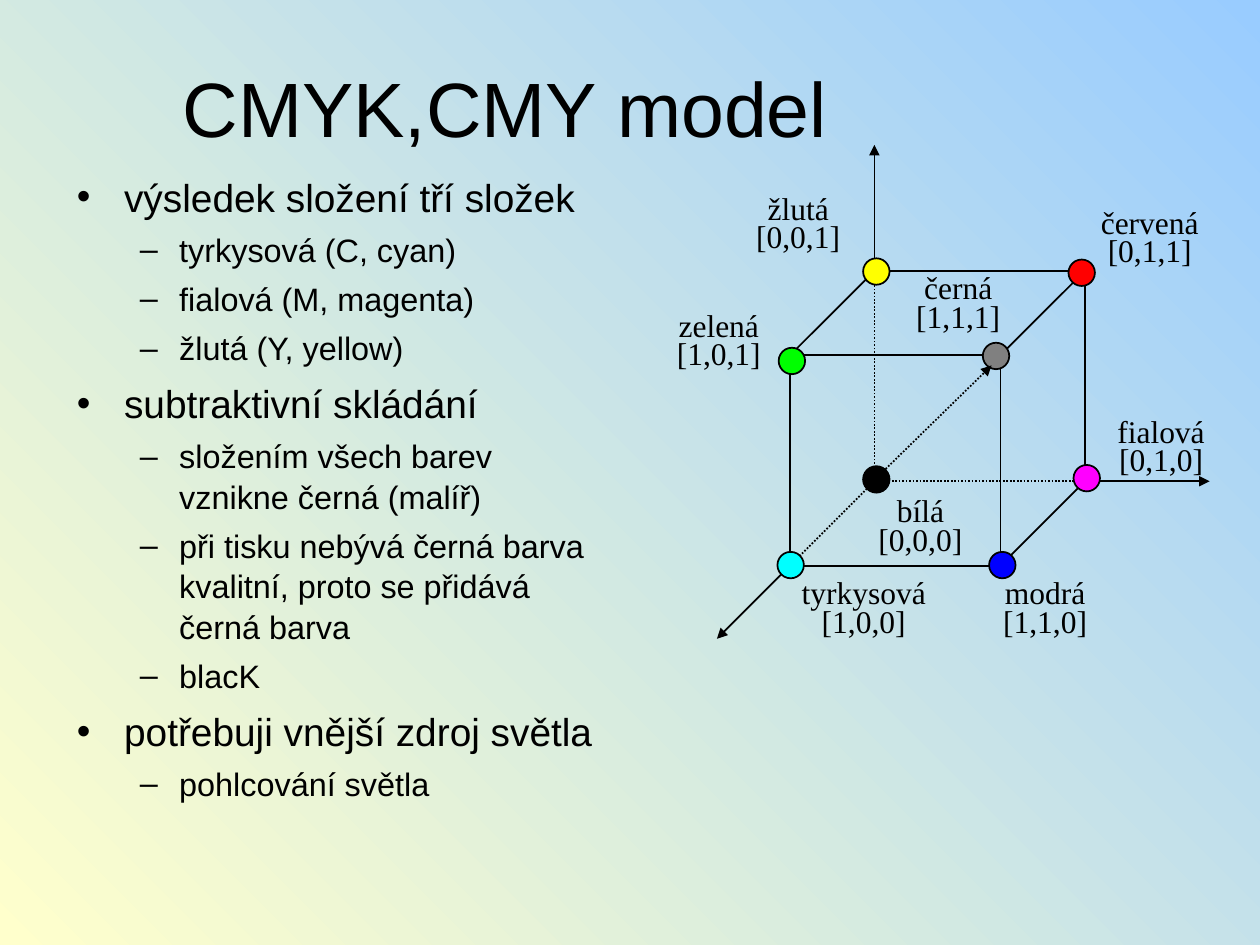
from collections import namedtuple
from dataclasses import dataclass

from lxml.etree import SubElement
from pptx import Presentation
from pptx.dml.color import RGBColor
from pptx.enum.dml import MSO_LINE
from pptx.enum.shapes import MSO_CONNECTOR, MSO_SHAPE
from pptx.enum.text import MSO_ANCHOR, MSO_AUTO_SIZE, PP_ALIGN
from pptx.oxml.ns import qn
from pptx.util import Inches, Pt


@dataclass(frozen=True)
class Theme:
    ink: str = "000000"
    sky: str = "99CCFF"
    cream: str = "FFFFCC"
    sans: str = "Arial"
    serif: str = "Times New Roman"
    title_size: float = 44
    level_sizes: tuple = (22.2, 18.5)
    level_gaps: tuple = (6, 5)
    label_size: float = 18
    line_width: float = 1


THEME = Theme()

BULLETS = [
    (0, "výsledek složení tří složek"),
    (1, "tyrkysová (C, cyan)"),
    (1, "fialová (M, magenta)"),
    (1, "žlutá (Y, yellow)"),
    (0, "subtraktivní skládání"),
    (1, "složením všech barev vznikne černá (malíř)"),
    (1, "při tisku nebývá černá barva kvalitní, proto se přidává černá barva"),
    (1, "blacK"),
    (0, "potřebuji vnější zdroj světla"),
    (1, "pohlcování světla"),
]

# Cube corner: CMY coordinates, name, fill, marker and label positions (inches)
Corner = namedtuple("Corner", "cmy name fill marker label")
CORNERS = [
    Corner((1, 1, 0), "modrá", "0000FF", (7.85, 4.38), (7.67, 4.57)),
    Corner((0, 1, 0), "fialová", "FF00FF", (8.52, 3.69), (8.59, 3.29)),
    Corner((0, 1, 1), "červená", "FF0000", (8.48, 2.06), (8.5, 1.63)),
    Corner((1, 1, 1), "černá", "808080", (7.8, 2.72), (6.98, 2.15)),
    Corner((0, 0, 0), "bílá", "000000", (6.85, 3.7), (6.68, 3.92)),
    Corner((0, 0, 1), "žlutá", "FFFF00", (6.85, 2.05), (5.71, 1.52)),
    Corner((1, 0, 1), "zelená", "00FF00", (6.18, 2.76), (5.08, 2.45)),
    Corner((1, 0, 0), "tyrkysová", "00FFFF", (6.17, 4.38), (6.23, 4.57)),
]
ORIGIN = (6.94, 3.82)
EDGE = 1.67
DEPTH = 0.67
MARKER_SIZE = 0.21


def color(value):
    return RGBColor.from_string(value)


def write(para, text, *, size, font=THEME.sans, ink=THEME.ink, align=None,
          before=0, spacing=None):
    para.text = text
    para.alignment = align
    para.space_before = Pt(before)
    para.line_spacing = spacing
    for span in para.runs:
        span.font.size = Pt(size)
        span.font.name = font
        span.font.color.rgb = color(ink)


def place(shape, left, top, width, height):
    shape.left, shape.top = Inches(left), Inches(top)
    shape.width, shape.height = Inches(width), Inches(height)


def paint_background(page):
    fill = page.background.fill
    fill.gradient()
    fill.gradient_angle = 225
    for stop, value in zip(fill.gradient_stops, (THEME.sky, THEME.cream)):
        stop.color.rgb = color(value)


def add_title(page, text):
    title = page.shapes.title
    place(title, 0.5, 0.3, 7.02, 1.09)
    title.text_frame.vertical_anchor = MSO_ANCHOR.MIDDLE
    write(title.text_frame.paragraphs[0], text, size=THEME.title_size,
          align=PP_ALIGN.CENTER)


def add_bullets(page, items):
    body = page.placeholders[1]
    place(body, 0.51, 1.31, 4.42, 4.95)
    frame = body.text_frame
    frame.auto_size = MSO_AUTO_SIZE.NONE
    for index, (level, text) in enumerate(items):
        para = frame.add_paragraph() if index else frame.paragraphs[0]
        para.level = level
        write(para, text, size=THEME.level_sizes[level], spacing=1.04,
              before=THEME.level_gaps[level] if index else 0)


def add_line(shapes, start, end, *, dotted=False, arrow=False):
    line = shapes.add_connector(MSO_CONNECTOR.STRAIGHT,
                                *(Inches(value) for value in (*start, *end)))
    line.line.color.rgb = color(THEME.ink)
    line.line.width = Pt(THEME.line_width)
    if dotted:
        line.line.dash_style = MSO_LINE.ROUND_DOT
    if arrow:
        SubElement(line.line._get_or_add_ln(), qn("a:tailEnd"), type="triangle")
    SubElement(line._element.spPr, qn("a:effectLst"))


def add_marker(shapes, corner):
    left, top = corner.marker
    marker = shapes.add_shape(MSO_SHAPE.OVAL, Inches(left), Inches(top),
                              Inches(MARKER_SIZE), Inches(MARKER_SIZE))
    marker.shadow.inherit = False
    marker.fill.solid()
    marker.fill.fore_color.rgb = color(corner.fill)
    marker.line.color.rgb = color(THEME.ink)
    marker.line.width = Pt(THEME.line_width)


def add_label(shapes, corner):
    left, top = corner.label
    box = shapes.add_textbox(Inches(left), Inches(top), Inches(1.25), Inches(0.55))
    frame = box.text_frame
    frame.word_wrap = True
    frame.auto_size = MSO_AUTO_SIZE.SHAPE_TO_FIT_TEXT
    coordinates = ",".join(str(value) for value in corner.cmy)
    write(frame.paragraphs[0], f"{corner.name}\n[{coordinates}]",
          size=THEME.label_size, font=THEME.serif, align=PP_ALIGN.CENTER,
          spacing=0.75)


def project(cyan, magenta, yellow):
    """Position on the page of a point in CMY space."""
    return (ORIGIN[0] + EDGE * magenta - DEPTH * cyan,
            ORIGIN[1] - EDGE * yellow + DEPTH * cyan)


def add_cube(page):
    shapes = page.shapes.add_group_shape().shapes

    # Edges: those that meet at the origin are hidden, hence dotted
    for corner in CORNERS:
        for axis in range(3):
            if corner.cmy[axis] == 0:
                far = list(corner.cmy)
                far[axis] = 1
                add_line(shapes, project(*corner.cmy), project(*far),
                         dotted=not any(corner.cmy))

    # Axes beyond the cube
    add_line(shapes, project(0, 1, 0), (9.6, 3.82), arrow=True)
    add_line(shapes, project(0, 0, 1), (6.94, 1.15), arrow=True)
    add_line(shapes, project(1, 0, 0), (5.69, 5.07), arrow=True)

    # Corners with their names
    for corner in CORNERS:
        add_marker(shapes, corner)
    for corner in CORNERS:
        add_label(shapes, corner)

    # Grey diagonal from white to black
    add_line(shapes, (6.97, 3.78), (7.87, 2.9), dotted=True, arrow=True)


def main():
    deck = Presentation()
    deck.slide_width, deck.slide_height = Inches(10), Inches(7.5)
    page = deck.slides.add_slide(deck.slide_layouts[1])
    paint_background(page)
    add_title(page, "CMYK,CMY model")
    add_bullets(page, BULLETS)
    add_cube(page)
    deck.save("out.pptx")


if __name__ == "__main__":
    main()
